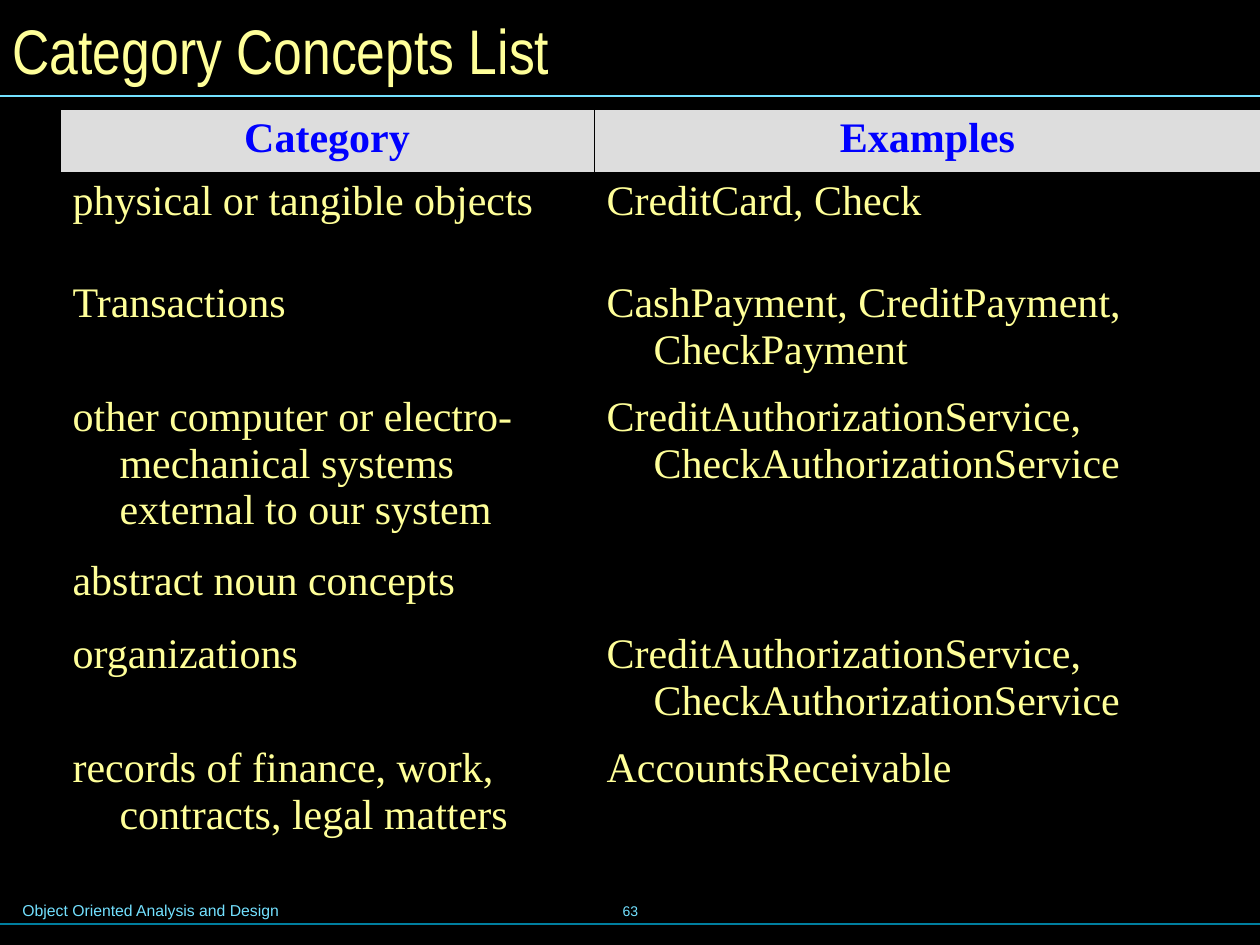
from lxml import etree
from pptx import Presentation, util as u
from pptx.dml.color import RGBColor
from pptx.enum import shapes, text
from pptx.oxml.ns import qn

TITLE = "Category Concepts List"
FOOTER = "Object Oriented Analysis and Design"
PAGE_NUMBER = "63"
HEADERS = ("Category", "Examples")
SERVICES = "CreditAuthorizationService, CheckAuthorizationService"
CONCEPTS = [
    ("physical or tangible objects", "CreditCard, Check"),
    ("Transactions", "CashPayment, CreditPayment, CheckPayment"),
    ("other computer or electro-mechanical systems external to our system", SERVICES),
    ("abstract noun concepts", ""),
    ("organizations", SERVICES),
    ("records of finance, work, contracts, legal matters", "AccountsReceivable"),
]
COLUMN_WIDTHS = (534, 667)
ROW_HEIGHTS = (62, 102, 114, 164, 73, 114, 114)
RULES = [(96, 1260, "73E1FF"), (924, 1265, "007E9F")]
BLACK, YELLOW, CYAN, BLUE, GREY = "000000", "FFFF99", "73E1FF", "0000FF", "DDDDDD"


def px(value):
    return u.Emu(round(value * 914400 / 126))


def rgb(value):
    return RGBColor.from_string(value)


def style(paragraph, size, font_name, color, bold=False, align=text.PP_ALIGN.LEFT):
    paragraph.alignment = align
    for run in paragraph.runs:
        run.font.size = u.Pt(size)
        run.font.name = font_name
        run.font.color.rgb = rgb(color)
        run.font.bold = bold


def add_label(slide, box, words, size, anchor, align, wrap):
    frame = slide.shapes.add_textbox(*map(px, box)).text_frame
    frame.word_wrap = wrap
    frame.vertical_anchor = anchor
    frame.text = words
    style(frame.paragraphs[0], size, "Arial", CYAN, align=align)


def add_rule(slide, y, right, color):
    rule = slide.shapes.add_connector(
        shapes.MSO_CONNECTOR.STRAIGHT, 0, px(y), px(right), px(y))
    rule.line.color.rgb = rgb(color)
    rule.line.width = u.Pt(0.75)
    etree.SubElement(rule._element.spPr, qn("a:effectLst"))


def add_borders(cell):
    properties = cell._tc.get_or_add_tcPr()
    for index, side in enumerate(("lnL", "lnR", "lnT", "lnB")):
        line = etree.Element(qn(f"a:{side}"), w=str(u.Pt(0.34)))
        fill = etree.SubElement(line, qn("a:solidFill"))
        etree.SubElement(fill, qn("a:srgbClr"), val=BLACK)
        properties.insert(index, line)


def fill_cell(cell, words, is_header):
    cell.text = words
    paragraph = cell.text_frame.paragraphs[0]
    hanging = px(47)
    paragraph_properties = paragraph._p.get_or_add_pPr()
    paragraph_properties.set("marL", str(hanging))
    paragraph_properties.set("indent", str(-hanging))
    if is_header:
        cell.fill.solid()
        cell.fill.fore_color.rgb = rgb(GREY)
        style(paragraph, 24, "Times New Roman", BLUE, True, text.PP_ALIGN.CENTER)
    else:
        cell.fill.background()
        style(paragraph, 24, "Times New Roman", YELLOW)
    add_borders(cell)


def add_concepts(slide):
    rows = [HEADERS, *CONCEPTS]
    table = slide.shapes.add_table(
        len(rows), len(HEADERS), px(60), px(109),
        px(sum(COLUMN_WIDTHS)), px(sum(ROW_HEIGHTS))).table
    table.first_row = table.horz_banding = False
    for column, width in zip(table.columns, COLUMN_WIDTHS):
        column.width = px(width)
    for row_index, (row, height) in enumerate(zip(rows, ROW_HEIGHTS)):
        table.rows[row_index].height = px(height)
        for column_index, words in enumerate(row):
            fill_cell(table.cell(row_index, column_index), words, row_index == 0)


def main():
    presentation = Presentation()
    presentation.slide_width, presentation.slide_height = px(1260), px(945)
    slide = presentation.slides.add_slide(presentation.slide_layouts[5])
    slide.background.fill.solid()
    slide.background.fill.fore_color.rgb = rgb(BLACK)

    title = slide.shapes.title
    title.left, title.top, title.width, title.height = map(px, (0, 0, 1260, 98))
    title.text_frame.text = TITLE
    title.text_frame.auto_size = text.MSO_AUTO_SIZE.NONE
    title.text_frame.vertical_anchor = text.MSO_ANCHOR.MIDDLE
    style(title.text_frame.paragraphs[0], 36, "Arial Narrow", YELLOW)

    add_label(slide, (10, 895, 643, 32), FOOTER, 9,
              text.MSO_ANCHOR.TOP, text.PP_ALIGN.LEFT, True)
    add_label(slide, (431, 879, 399, 63), PAGE_NUMBER, 8,
              text.MSO_ANCHOR.MIDDLE, text.PP_ALIGN.CENTER, False)
    for rule in RULES:
        add_rule(slide, *rule)
    add_concepts(slide)
    presentation.save("out.pptx")


if __name__ == "__main__":
    main()
